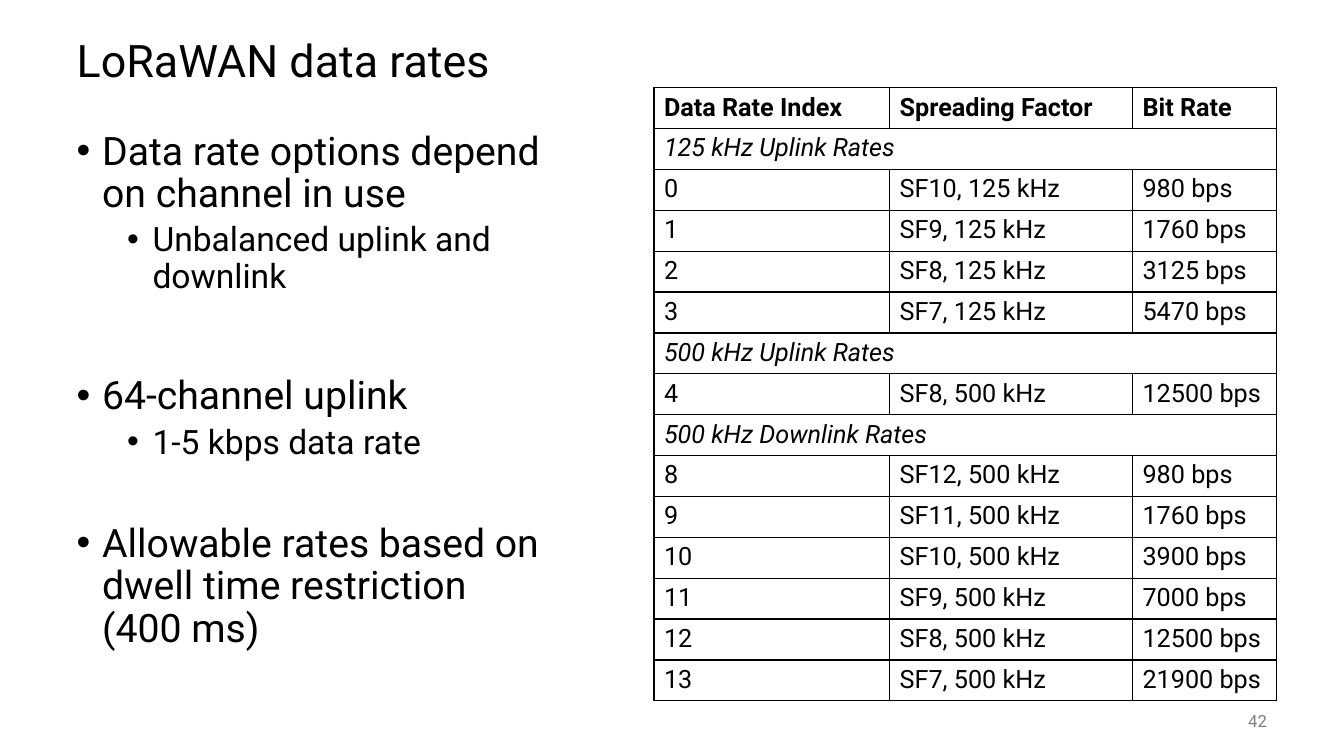
"""Build the LoRaWAN data rates slide: bullet list on the left, rate table on the right."""
from lxml.etree import SubElement
from pptx import Presentation
from pptx.dml.color import RGBColor
from pptx.enum.text import MSO_ANCHOR as ANCHOR, MSO_AUTO_SIZE as AUTOSIZE, PP_ALIGN as ALIGN
from pptx.oxml.ns import qn
from pptx.util import Cm, Pt

BLACK, GREY = "000000", "808080"


def style(p, size, color=BLACK, bold=False, italic=False):
    for r in p.runs:
        r.font.name = "Roboto"
        r.font.size = Pt(size)
        r.font.bold = bold
        r.font.italic = italic
        r.font.color.rgb = RGBColor.from_string(color)


def place(sp, left, top, width, height):
    sp.left, sp.top, sp.width, sp.height = Cm(left), Cm(top), Cm(width), Cm(height)


prs = Presentation()
prs.slide_width, prs.slide_height = Cm(33.87), Cm(19.05)
s = prs.slides.add_slide(prs.slide_layouts[1])

title = s.shapes.title
place(title, 1.68, 0.64, 30.48, 1.9)
tf = title.text_frame
tf.text = "LoRaWAN data rates"
tf.auto_size = AUTOSIZE.NONE
tf.vertical_anchor = ANCHOR.MIDDLE
p = tf.paragraphs[0]
p.alignment = ALIGN.LEFT
p.line_spacing = 0.9
style(p, 32)

rates = [
    ("Data Rate Index", "Spreading Factor", "Bit Rate"),
    ("125 kHz Uplink Rates",),
    ("0", "SF10, 125 kHz", "980 bps"),
    ("1", "SF9, 125 kHz", "1760 bps"),
    ("2", "SF8, 125 kHz", "3125 bps"),
    ("3", "SF7, 125 kHz", "5470 bps"),
    ("500 kHz Uplink Rates",),
    ("4", "SF8, 500 kHz", "12500 bps"),
    ("500 kHz Downlink Rates",),
    ("8", "SF12, 500 kHz", "980 bps"),
    ("9", "SF11, 500 kHz", "1760 bps"),
    ("10", "SF10, 500 kHz", "3900 bps"),
    ("11", "SF9, 500 kHz", "7000 bps"),
    ("12", "SF8, 500 kHz", "12500 bps"),
    ("13", "SF7, 500 kHz", "21900 bps"),
]
widths = [5.94, 6.12, 3.63]
row_height = 1.03
table = s.shapes.add_table(len(rates), len(widths), Cm(16.48), Cm(2.21),
                           Cm(sum(widths)), Cm(row_height * len(rates))).table
table.first_row = table.horz_banding = False
for column, width in zip(table.columns, widths):
    column.width = Cm(width)
for i, values in enumerate(rates):
    table.rows[i].height = Cm(row_height)
    is_group = len(values) == 1
    for cell in table.rows[i].cells:
        tcPr = cell._tc.get_or_add_tcPr()
        for side in ("a:lnL", "a:lnR", "a:lnT", "a:lnB"):
            ln = SubElement(tcPr, qn(side), w=str(Pt(1)))
            SubElement(SubElement(ln, qn("a:solidFill")), qn("a:srgbClr"), val=BLACK)
        cell.fill.background()
    if is_group:
        table.cell(i, 0).merge(table.cell(i, len(widths) - 1))
    for j, value in enumerate(values):
        tf = table.cell(i, j).text_frame
        tf.text = value
        style(tf.paragraphs[0], 18, bold=i == 0, italic=is_group)

number = s.shapes.add_textbox(Cm(29.64), Cm(17.65), Cm(2.54), Cm(1.02))
tf = number.text_frame
tf.word_wrap = True
tf.vertical_anchor = ANCHOR.MIDDLE
tf.text = "42"
p = tf.paragraphs[0]
p.alignment = ALIGN.RIGHT
style(p, 12, GREY)

body = s.placeholders[1]
place(body, 1.68, 3.18, 13.31, 13.97)
tf = body.text_frame
tf.auto_size = AUTOSIZE.NONE
bullets = [
    (0, 0, "Data rate options depend on channel in use"),
    (1, 5, "Unbalanced uplink and downlink"),
    (0, 57.5, "64-channel uplink"),
    (1, 5, "1-5 kbps data rate"),
    (0, 44.3, "Allowable rates based on dwell time restriction\v(400 ms)"),
]
for i, (level, space, text) in enumerate(bullets):
    p = tf.add_paragraph() if i else tf.paragraphs[0]
    p.text = text
    p.level = level
    size = (28, 24)[level]
    pPr = p._p.get_or_add_pPr()
    pPr.set("marL", str(Cm((0.64, 1.91)[level])))
    pPr.set("indent", str(Cm(-0.64)))
    SubElement(pPr, qn("a:buFont"), typeface="Arial")
    SubElement(pPr, qn("a:buChar"), char="•")
    p.line_spacing = 0.9
    p.space_before = Pt(space)
    style(p, size)
    for br in p._p.findall(qn("a:br")):
        SubElement(br, qn("a:rPr"), sz=str(size * 100))

prs.save("out.pptx")
